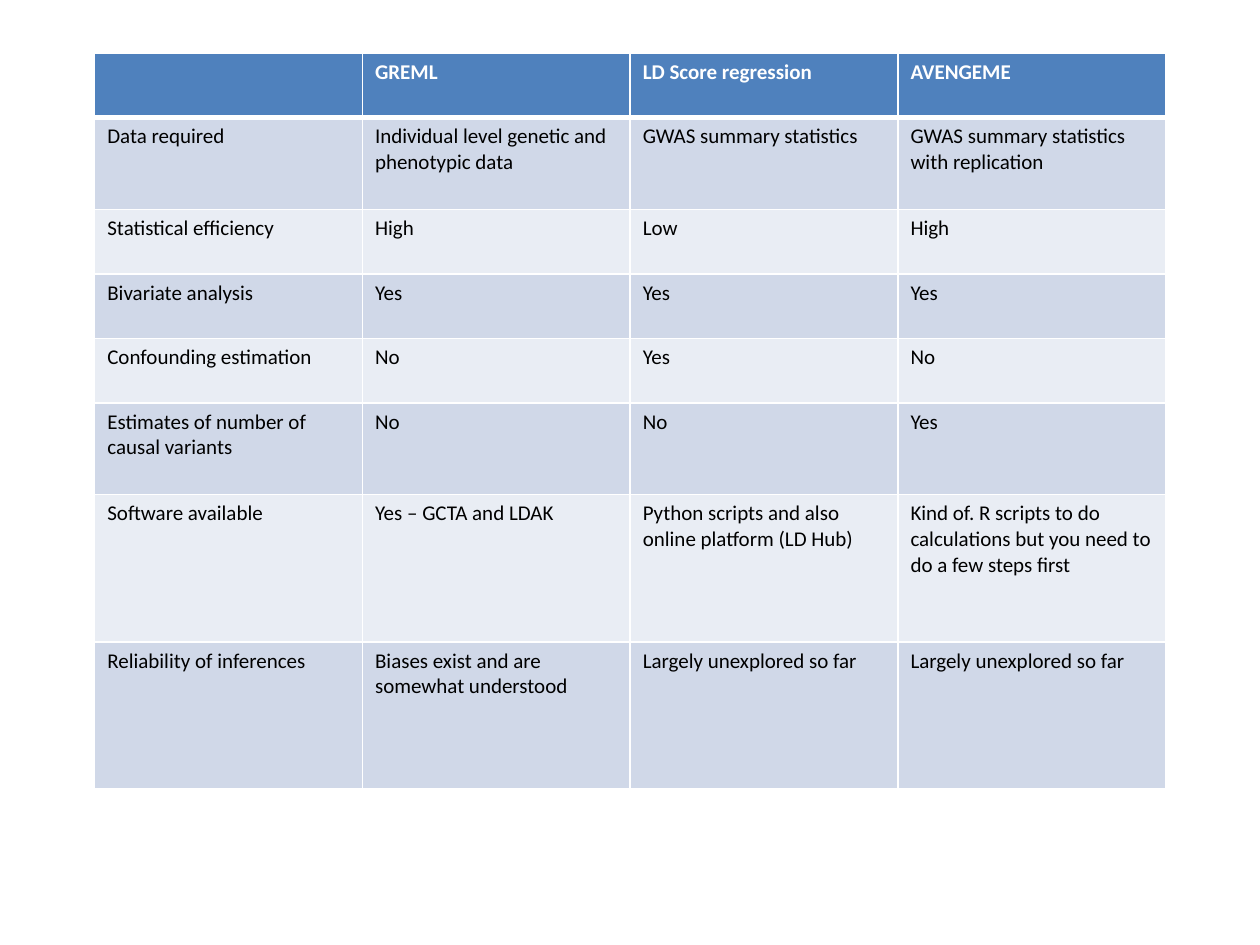
from pptx import Presentation
from pptx.dml.color import RGBColor
from pptx.oxml.ns import qn
from pptx.util import Cm, Pt
from lxml.etree import SubElement

HEADER_FILL = "4F81BD"
BAND_FILLS = ("E9EDF4", "D0D8E8")
WHITE = "FFFFFF"
BLACK = "000000"

ROW_HEIGHTS = (1.3, 1.85, 1.3, 1.3, 1.3, 1.85, 2.97, 2.97)
METHOD_COMPARISON = (
    ("", "GREML", "LD Score regression", "AVENGEME"),
    ("Data required", "Individual level genetic and phenotypic data",
     "GWAS summary statistics", "GWAS summary statistics with replication"),
    ("Statistical efficiency", "High", "Low", "High"),
    ("Bivariate analysis", "Yes", "Yes", "Yes"),
    ("Confounding estimation", "No", "Yes", "No"),
    ("Estimates of number of causal variants", "No", "No", "Yes"),
    ("Software available", "Yes – GCTA and LDAK",
     "Python scripts and also online platform (LD Hub)",
     "Kind of. R scripts to do calculations but you need to do a few steps first"),
    ("Reliability of inferences", "Biases exist and are somewhat understood",
     "Largely unexplored so far", "Largely unexplored so far"),
)


def color(hex_string):
    return RGBColor.from_string(hex_string)


def set_borders(cell, widths):
    properties = cell._tc.get_or_add_tcPr()
    for side, width in widths.items():
        line = SubElement(properties, qn(f"a:ln{side}"), w=str(Pt(width)))
        fill = SubElement(line, qn("a:solidFill"))
        SubElement(fill, qn("a:srgbClr"), val=WHITE)


def format_cell(cell, text, row_index):
    is_header = row_index == 0
    set_borders(cell, {
        "L": 1,
        "R": 1,
        "T": 3 if row_index == 1 else 1,
        "B": 3 if is_header else 1,
    })
    cell.fill.solid()
    cell.fill.fore_color.rgb = color(HEADER_FILL if is_header else BAND_FILLS[row_index % 2])
    if not text:
        return
    run = cell.text_frame.paragraphs[0].add_run()
    run.text = text
    font_format = {"name": "Calibri", "size": Pt(12), "bold": is_header}
    for attribute, value in font_format.items():
        setattr(run.font, attribute, value)
    run.font.color.rgb = color(WHITE if is_header else BLACK)


def add_comparison_table(slide, left, top, width):
    column_count = len(METHOD_COMPARISON[0])
    frame = slide.shapes.add_table(
        len(METHOD_COMPARISON), column_count,
        Cm(left), Cm(top), Cm(width), Cm(sum(ROW_HEIGHTS)),
    )
    table = frame.table
    for column in table.columns:
        column.width = Cm(width / column_count)
    for row_index, (height, texts) in enumerate(zip(ROW_HEIGHTS, METHOD_COMPARISON)):
        row = table.rows[row_index]
        row.height = Cm(height)
        for cell, text in zip(row.cells, texts):
            format_cell(cell, text, row_index)


def main():
    presentation = Presentation()
    presentation.slide_width = Cm(25.4)
    presentation.slide_height = Cm(19.05)
    slide = presentation.slides.add_slide(presentation.slide_layouts[6])
    add_comparison_table(slide, left=1.91, top=1.07, width=21.59)
    presentation.save("out.pptx")


if __name__ == "__main__":
    main()
